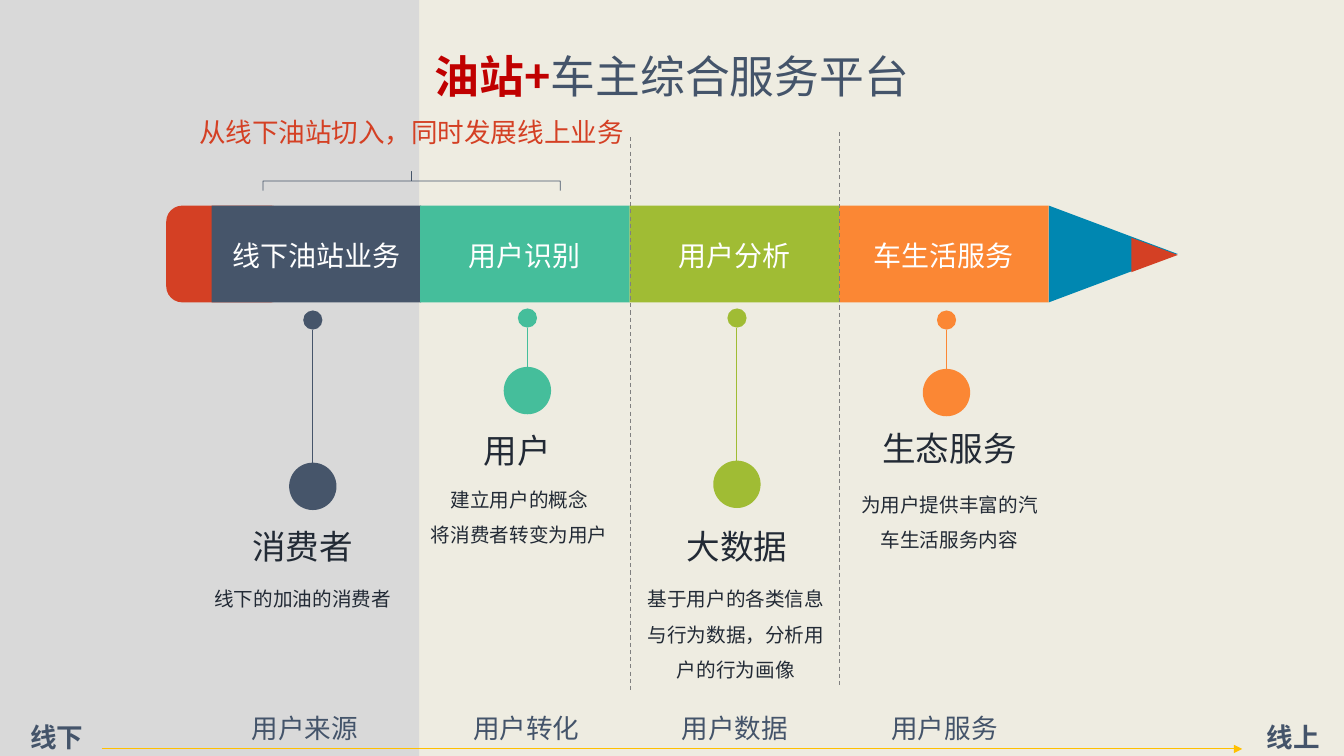
from dataclasses import dataclass

from lxml import etree
from pptx import Presentation, util as u
from pptx.dml.color import RGBColor
from pptx.enum import dml, shapes, text
from pptx.oxml.ns import qn

PX = 9144


@dataclass(frozen=True)
class Theme:
    """Colours, type sizes and font of the slide."""
    font: str = "Noto Sans CJK SC"
    cream: str = "EEECE1"
    grey: str = "D9D9D9"
    dash: str = "808080"
    ink: str = "222A35"
    label: str = "44546A"
    white: str = "FFFFFF"
    crimson: str = "C00000"
    gold: str = "FFC000"
    red: str = "D44024"
    blue: str = "0087B1"
    slate: str = "46556A"
    teal: str = "45BE9B"
    green: str = "A0BC34"
    orange: str = "FB8734"
    title: int = 32
    heading: int = 24
    band: int = 20
    note: int = 19
    body: int = 14


T = Theme()


@dataclass(frozen=True)
class Box:
    """A frame in px, 100 to the inch."""
    x: int
    y: int
    w: int
    h: int

    def emu(self) -> list[u.Emu]:
        """Return the frame as EMU lengths."""
        return [u.Emu(v * PX) for v in (self.x, self.y, self.w, self.h)]


@dataclass(frozen=True)
class Stage:
    """One pencil segment with its pin, texts and footer."""
    color: str
    band: str
    heading: str
    body: tuple[str, ...]
    footer: str
    band_x: int
    pin_x: int
    pin_top: int
    ball_top: int
    heading_at: tuple[int, int]
    body_at: tuple[int, int]
    footer_x: int


STAGES = (
    Stage(T.slate, "线下油站业务", "消费者", ("线下的加油的消费者",), "用户来源",
          210, 310, 308, 459, (194, 517), (194, 566), 210),
    Stage(T.teal, "用户识别", "用户", ("建立用户的概念", "将消费者转变为用户"), "用户转化",
          417, 523, 306, 364, (407, 422), (409, 467), 430),
    Stage(T.green, "用户分析", "大数据", ("基于用户的各类信息与行为数据，分析用户的行为画像",), "用户数据",
          625, 731, 306, 457, (625, 517), (624, 566), 637),
    Stage(T.orange, "车生活服务", "生态服务", ("为用户提供丰富的汽车生活服务内容",), "用户服务",
          833, 939, 308, 366, (836, 420), (836, 472), 845),
)


def add_solid(s, kind: shapes.MSO_SHAPE, box: Box, color: str, turn: int = 0):
    """Add a filled shape without outline."""
    sp = s.shapes.add_shape(kind, *box.emu())
    sp.shadow.inherit = False
    sp.fill.solid()
    sp.fill.fore_color.rgb = RGBColor.from_string(color)
    sp.line.fill.background()
    sp.rotation = turn
    return sp


def add_line(s, start: tuple[int, int], end: tuple[int, int], color: str,
             width: float, dashed: bool = False, arrow: bool = False) -> None:
    """Add a straight line, optionally dashed or with an arrowhead."""
    ends = [u.Emu(v * PX) for v in (*start, *end)]
    cx = s.shapes.add_connector(shapes.MSO_CONNECTOR.STRAIGHT, *ends)
    cx.line.color.rgb = RGBColor.from_string(color)
    cx.line.width = u.Pt(width)
    if dashed:
        cx.line.dash_style = dml.MSO_LINE.DASH
    if arrow:
        etree.SubElement(cx.line._get_or_add_ln(), qn("a:tailEnd"), type="triangle")
    etree.SubElement(cx._element.spPr, qn("a:effectLst"))


def add_text(s, box: Box, lines: tuple[str, ...], size: int, color: str,
             align: text.PP_ALIGN = text.PP_ALIGN.CENTER,
             spacing: float = 1.0, bold: bool = False):
    """Add a wrapped text box with one paragraph per line."""
    tf = s.shapes.add_textbox(*box.emu()).text_frame
    tf.word_wrap = True
    for i, line in enumerate(lines):
        p = tf.add_paragraph() if i else tf.paragraphs[0]
        p.alignment = align
        p.line_spacing = spacing
        if line:
            p.add_run().text = line
        p.font.name = T.font
        p.font.size = u.Pt(size)
        p.font.bold = bold
        p.font.color.rgb = RGBColor.from_string(color)
        style = p._p.pPr.find(qn("a:defRPr"))
        etree.SubElement(style, qn("a:ea"), typeface=T.font)
    return tf


def add_title(s) -> None:
    """Add the two-colour title."""
    tf = add_text(s, Box(329, 45, 676, 59), ("",), T.title, T.label)
    tf.margin_left = tf.margin_right = u.Emu(5 * PX)
    tf.margin_top = tf.margin_bottom = u.Emu(3 * PX)
    p = tf.paragraphs[0]
    for words, color, bold in (("油站+", T.crimson, True), ("车主综合服务平台", T.label, False)):
        r = p.add_run()
        r.text = words
        r.font.bold = bold
        r.font.color.rgb = RGBColor.from_string(color)


def add_stage(s, st: Stage) -> None:
    """Draw the pin, heading, description and footer of a stage."""
    oval = shapes.MSO_SHAPE.OVAL
    add_solid(s, oval, Box(st.pin_x - 9, st.pin_top, 19, 19), st.color)
    add_line(s, (st.pin_x, st.ball_top + 2), (st.pin_x, st.pin_top + 19), st.color, 0.5)
    add_solid(s, oval, Box(st.pin_x - 23, st.ball_top, 47, 47), st.color)
    add_text(s, Box(*st.heading_at, 213, 51), (st.heading,), T.heading, T.ink)
    add_text(s, Box(*st.body_at, 213, 81), st.body, T.body, T.ink, spacing=1.5)
    add_text(s, Box(st.footer_x, 686, 185, 58), (st.footer,), T.note, T.label, spacing=1.5)


def add_pencil(s) -> None:
    """Draw the pencil from eraser to tip."""
    kind = shapes.MSO_SHAPE
    add_solid(s, kind.ROUNDED_RECTANGLE, Box(165, 204, 120, 96), T.red)
    for st in STAGES:
        add_solid(s, kind.RECTANGLE, Box(st.band_x, 204, 208, 96), st.color)
        add_text(s, Box(st.band_x, 232, 208, 44), (st.band,), T.band, T.white)
    add_solid(s, kind.ISOSCELES_TRIANGLE, Box(1057, 188, 96, 128), T.blue, 90)
    add_solid(s, kind.ISOSCELES_TRIANGLE, Box(1129, 230, 34, 46), T.red, 90)


def add_bracket(s) -> None:
    """Draw the square bracket above the first two stages."""
    sp = s.shapes.add_shape(shapes.MSO_SHAPE.LEFT_BRACE, *Box(399, 32, 19, 295).emu())
    sp.shadow.inherit = False
    sp.adjustments[0] = 0
    sp.rotation = 90
    sp.fill.background()
    sp.line.color.rgb = RGBColor.from_string(T.slate)
    sp.line.width = u.Pt(0.5)


def main() -> None:
    """Build and save the slide."""
    prs = Presentation()
    prs.slide_width, prs.slide_height = u.Emu(1334 * PX), u.Emu(750 * PX)
    s = prs.slides.add_slide(prs.slide_layouts[6])
    add_solid(s, shapes.MSO_SHAPE.RECTANGLE, Box(415, 0, 919, 750), T.cream)
    add_solid(s, shapes.MSO_SHAPE.RECTANGLE, Box(0, 0, 416, 750), T.grey)
    add_title(s)
    add_pencil(s)
    for st in STAGES:
        add_stage(s, st)
    add_bracket(s)
    tf = add_text(s, Box(137, 111, 543, 40), ("从线下油站切入，同时发展线上业务",), T.note, T.red)
    tf.vertical_anchor = text.MSO_ANCHOR.MIDDLE
    for x, words, align in ((20, "线下", text.PP_ALIGN.LEFT), (1041, "线上", text.PP_ALIGN.RIGHT)):
        add_text(s, Box(x, 694, 279, 58), (words,), T.note, T.label, align, 1.5, True)
    add_line(s, (101, 743), (1233, 743), T.gold, 0.75, arrow=True)
    for x, top in ((833, 131), (626, 136)):
        add_line(s, (x, top), (x, top + 551), T.dash, 0.75, dashed=True)
    prs.save("out.pptx")


if __name__ == "__main__":
    main()
